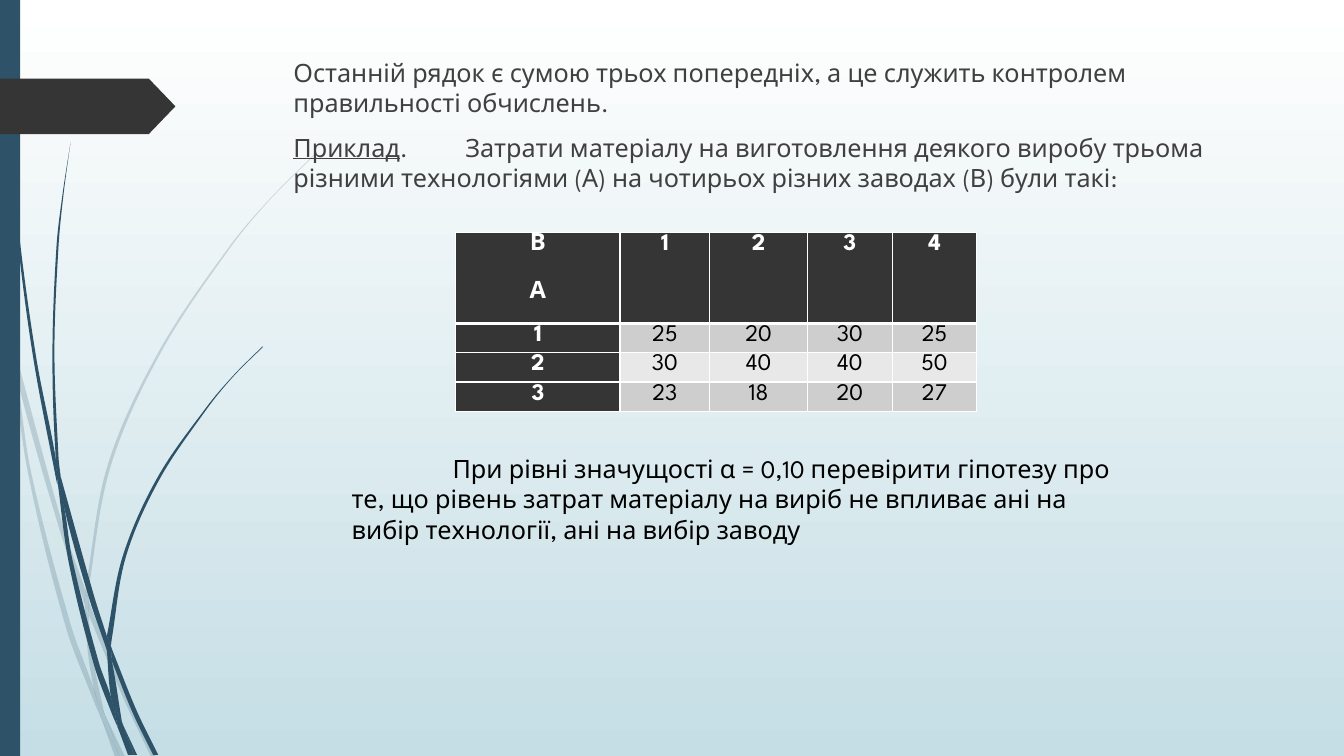
"""Build the slide on two-way analysis of variance for three technologies and four plants."""
from dataclasses import dataclass

from lxml.etree import SubElement
from pptx import Presentation
from pptx.dml.color import RGBColor
from pptx.enum.shapes import MSO_SHAPE
from pptx.enum.text import MSO_AUTO_SIZE, PP_ALIGN
from pptx.oxml.ns import qn
from pptx.util import Emu, Inches, Pt

CELL = Inches(0.01)
COLS, ROWS = 1333, 750
FONT = "League Spartan"

BLUE = RGBColor(0x2E, 0x53, 0x69)
DARK = RGBColor(0x35, 0x35, 0x35)
GREY = RGBColor(0x40, 0x40, 0x40)
BAND = RGBColor(0xCE, 0xCE, 0xCE)
LIGHT = RGBColor(0xE8, 0xE8, 0xE8)
SKY = RGBColor(0xC5, 0xDE, 0xE5)
WHITE = RGBColor(0xFF, 0xFF, 0xFF)
BLACK = RGBColor(0, 0, 0)

Points = list[tuple[int, int]]


@dataclass(frozen=True)
class Box:
    """Place on the grid in columns and rows."""

    col: int
    row: int
    width: int
    height: int

    def emu(self) -> tuple[Emu, ...]:
        """Return left, top, width and height."""
        return tuple(Emu(v * CELL) for v in (self.col, self.row, self.width, self.height))


@dataclass(frozen=True)
class Blade:
    """Piece of grass between two curved edges, both listed from the top."""

    left: Points
    right: Points


PALE_GRASS = [
    Blade([(0, 299), (10, 344), (11, 350)], [(0, 282), (9, 322), (11, 350)]),
    Blade([(14, 345), (17, 376), (58, 522), (84, 599)], [(14, 345), (62, 520), (85, 586)]),
    Blade([(88, 610), (123, 694), (150, 751)], [(88, 596), (92, 607), (127, 692), (155, 751)]),
    Blade([(105, 711), (119, 751)], [(105, 711), (124, 751)]),
    Blade([(11, 350), (28, 470), (65, 621), (92, 693), (101, 714)],
          [(11, 350), (17, 376), (31, 469), (70, 619), (93, 683), (99, 707), (101, 714)]),
    Blade([(84, 599), (87, 646), (93, 683), (96, 692), (105, 711)],
          [(88, 610), (91, 646), (103, 706), (105, 711)]),
    Blade([(312, 153), (268, 197), (228, 244), (158, 348), (107, 461), (85, 584), (85, 586)],
          [(312, 154), (268, 198), (229, 245), (160, 349), (110, 462), (88, 584), (88, 596)]),
    Blade([(101, 714), (114, 751)], [(101, 714), (119, 751)]),
    Blade([(85, 586), (84, 599), (88, 608)], [(85, 586), (88, 596), (88, 610)]),
    Blade([(93, 683), (99, 707), (101, 714), (119, 751)],
          [(93, 683), (96, 692), (105, 711), (119, 751)]),
]
DARK_GRASS = [
    Blade([(3, 0), (7, 110), (17, 233), (33, 355), (56, 477), (57, 481)],
          [(4, 0), (8, 109), (19, 232), (36, 355), (55, 453), (57, 481)]),
    Blade([(60, 472), (64, 505), (88, 592), (106, 645)], [(60, 472), (93, 590), (106, 631)]),
    Blade([(111, 656), (132, 708), (152, 749)], [(110, 641), (113, 649), (136, 706), (157, 749)]),
    Blade([(57, 477), (68, 557), (93, 659), (111, 708), (117, 722)],
          [(57, 477), (64, 505), (72, 556), (98, 657), (110, 691), (116, 717), (117, 722)]),
    Blade([(70, 141), (62, 193), (56, 245), (52, 349), (55, 449), (60, 472)],
          [(70, 141), (63, 193), (58, 245), (54, 349), (58, 453), (60, 472)]),
    Blade([(122, 719), (133, 749)], [(122, 719), (136, 749)]),
    Blade([(55, 449), (57, 477), (64, 505)], [(55, 449), (60, 472), (64, 505)]),
    Blade([(260, 344), (231, 373), (204, 405), (156, 474), (122, 551), (106, 631)],
          [(261, 344), (231, 374), (205, 406), (158, 476), (125, 552), (111, 633), (110, 641)]),
    Blade([(117, 722), (127, 749)], [(117, 722), (131, 749)]),
    Blade([(106, 645), (110, 691), (116, 706), (122, 719)],
          [(106, 645), (111, 656), (121, 716), (122, 719)]),
    Blade([(106, 631), (106, 645), (111, 656)], [(106, 631), (110, 641), (111, 656)]),
    Blade([(110, 691), (116, 717), (117, 722), (130, 749)],
          [(110, 691), (116, 706), (122, 719), (133, 749)]),
]

INTRO = "Останній рядок є сумою трьох попередніх, а це служить контролем правильності обчислень."
EXAMPLE = ("Затрати матеріалу на виготовлення деякого виробу трьома різними "
           "технологіями (А) на чотирьох різних заводах (В) були такі:")
TASK = ("При рівні значущості α = 0,10 перевірити гіпотезу про те, що рівень затрат матеріалу "
        "на виріб не впливає ані на вибір технології, ані на вибір заводу")
COSTS = [["В\nА", "1", "2", "3", "4"],
         ["1", "25", "20", "30", "25"],
         ["2", "30", "40", "40", "50"],
         ["3", "23", "18", "20", "27"]]
COL_WIDTHS = [163, 89, 97, 84, 84]
ROW_HEIGHTS = [90, 29, 29, 29]


def bend(edge: Points) -> list[list[complex]]:
    """Return two control points and an end for each step of a smooth edge."""
    pts = [complex(*pt) * CELL for pt in edge]
    ext = [pts[0], *pts, pts[-1]]
    dirs = [(b - a) / abs(b - a) for a, b in zip(ext, ext[2:])]
    return [[a + u * abs(b - a) / 3, b - v * abs(b - a) / 3, b]
            for a, b, u, v in zip(pts, pts[1:], dirs, dirs[1:])]


def paint(sp, color: RGBColor, alpha: int = 100) -> None:
    """Give a shape a flat fill without line or shadow."""
    sp.shadow.inherit = False
    sp.line.fill.background()
    sp.fill.solid()
    sp.fill.fore_color.rgb = color
    if alpha < 100:
        clr = sp.fill._xPr.find(qn("a:solidFill"))[0]
        SubElement(clr, qn("a:alpha"), val=str(alpha * 1000))


def draw_blade(s, blade: Blade, alpha: int) -> None:
    """Draw one piece of grass and bend its sides."""
    back = blade.right[::-1]
    outline = [(x * CELL, y * CELL) for x, y in blade.left + back]
    fb = s.shapes.build_freeform(*outline[0])
    fb.add_line_segments(outline[1:], close=True)
    sp = fb.convert_to_shape()
    steps = list(sp._element.iter(qn("a:lnTo")))
    for step, curve in zip(steps, bend(blade.left) + [None] + bend(back)):
        if curve:
            bez = step.makeelement(qn("a:cubicBezTo"))
            for pt in curve:
                SubElement(bez, qn("a:pt"), x=str(round(pt.real - sp.left)),
                           y=str(round(pt.imag - sp.top)))
            step.getparent().replace(step, bez)
    paint(sp, BLUE, alpha)


def add_run(p, text: str, color: RGBColor, **fmt):
    """Add a run with the given font values."""
    r = p.add_run()
    r.text = text
    r.font.color.rgb = color
    for key, val in ({"name": FONT, "size": Pt(18)} | fmt).items():
        setattr(r.font, key, val)
    return r


def fill_body(s, body) -> None:
    """Place the body placeholder in front and write its paragraphs."""
    s.shapes._spTree.append(body._element)
    body.left, body.top, body.width, body.height = Box(281, 52, 975, 434).emu()
    tf = body.text_frame
    tf.auto_size = MSO_AUTO_SIZE.NONE
    add_run(tf.paragraphs[0], INTRO, GREY)
    p = tf.add_paragraph()
    add_run(p, "Приклад", GREY, underline=True)
    add_run(p, ".", GREY)
    add_run(p, " ", GREY).font._element.set("spc", "3650")
    add_run(p, EXAMPLE, GREY)
    for p in tf.paragraphs:
        p.space_before = Pt(10)
        pPr = p._p.get_or_add_pPr()
        for key in ("marL", "indent"):
            pPr.set(key, "0")
        SubElement(pPr, qn("a:buNone"))


def add_borders(cell) -> None:
    """Draw white borders round a heading cell, thick below."""
    tcPr = cell._tc.get_or_add_tcPr()
    for i, (side, width) in enumerate({"L": 1, "R": 1, "T": 1, "B": 3}.items()):
        ln = tcPr.makeelement(qn(f"a:ln{side}"), {"w": str(Pt(width))})
        SubElement(SubElement(ln, qn("a:solidFill")), qn("a:srgbClr"), val=str(WHITE))
        tcPr.insert(i, ln)


def add_costs(s) -> None:
    """Add the table of material costs."""
    box = Box(452, 231, sum(COL_WIDTHS), sum(ROW_HEIGHTS))
    tbl = s.shapes.add_table(len(COSTS), len(COL_WIDTHS), *box.emu()).table
    tbl.first_col = True
    for col, width in zip(tbl.columns, COL_WIDTHS):
        col.width = Emu(width * CELL)
    for i, (row, height) in enumerate(zip(tbl.rows, ROW_HEIGHTS)):
        row.height = Emu(height * CELL)
        for j, cell in enumerate(row.cells):
            head = i == 0 or j == 0
            for side, margin in {"left": 0.09, "right": 0.09, "top": 0, "bottom": 0}.items():
                setattr(cell, f"margin_{side}", Inches(margin))
            cell.fill.solid()
            cell.fill.fore_color.rgb = DARK if head else BAND if i % 2 else LIGHT
            if i == 0:
                add_borders(cell)
            for k, text in enumerate(COSTS[i][j].split("\n")):
                p = cell.text_frame.add_paragraph() if k else cell.text_frame.paragraphs[0]
                p.alignment, p.line_spacing, p.space_before = PP_ALIGN.CENTER, 1.07, Pt(17 * k)
                add_run(p, text, WHITE if head else BLACK, size=Pt(17), bold=head)


def main() -> None:
    """Build and save the slide."""
    prs = Presentation()
    prs.slide_width, prs.slide_height = Emu(COLS * CELL), Emu(ROWS * CELL)
    s = prs.slides.add_slide(prs.slide_layouts[1])
    title, body = s.placeholders
    title._element.getparent().remove(title._element)
    bg = s.background.fill
    bg.gradient()
    bg.gradient_angle = 270
    for stop, color, pos in zip(bg.gradient_stops, (WHITE, SKY), (0, 1)):
        stop.color.rgb, stop.position = color, pos
    for grass, alpha in ((PALE_GRASS, 20), (DARK_GRASS, 100)):
        for blade in grass:
            draw_blade(s, blade, alpha)
    paint(s.shapes.add_shape(MSO_SHAPE.RECTANGLE, *Box(0, 0, 20, ROWS).emu()), BLUE)
    arrow = s.shapes.add_shape(MSO_SHAPE.PENTAGON, *Box(0, 78, 174, 55).emu())
    arrow.adjustments[0] = 0.48
    paint(arrow, DARK)
    fill_body(s, body)
    add_costs(s)
    tf = s.shapes.add_textbox(*Box(339, 445, 792, 101).emu()).text_frame
    tf.word_wrap, tf.auto_size = True, MSO_AUTO_SIZE.SHAPE_TO_FIT_TEXT
    add_run(tf.paragraphs[0], TASK, BLACK)
    tf.paragraphs[0]._p.get_or_add_pPr().set("indent", str(Inches(1)))
    prs.save("out.pptx")


if __name__ == "__main__":
    main()
